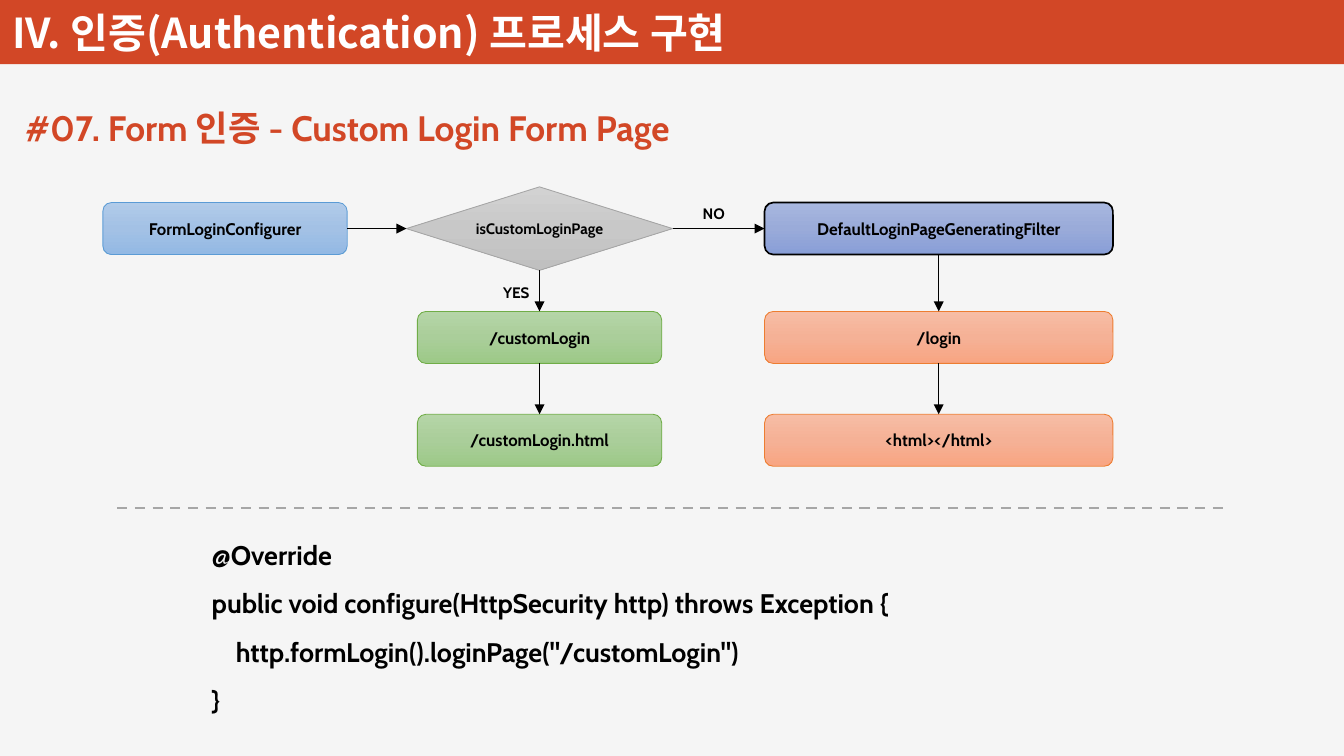
from dataclasses import dataclass
from copy import deepcopy

from pptx import Presentation
from pptx.dml.color import RGBColor
from pptx.enum.dml import MSO_LINE
from pptx.enum.shapes import MSO_CONNECTOR, MSO_SHAPE
from pptx.enum.text import MSO_ANCHOR, MSO_AUTO_SIZE, PP_ALIGN
from pptx.oxml.ns import qn
from pptx.oxml.xmlchemy import OxmlElement
from pptx.util import Inches, Pt

ROUND, DIAMOND = MSO_SHAPE.ROUNDED_RECTANGLE, MSO_SHAPE.FLOWCHART_DECISION
RECT, LINE, DASH = MSO_SHAPE.RECTANGLE, MSO_CONNECTOR.STRAIGHT, MSO_LINE.DASH
TOP, MIDDLE, BOTTOM = MSO_ANCHOR.TOP, MSO_ANCHOR.MIDDLE, MSO_ANCHOR.BOTTOM
LEFT, CENTER = PP_ALIGN.LEFT, PP_ALIGN.CENTER
FIXED = MSO_AUTO_SIZE.NONE
UP, WEST, DOWN, EAST = range(4)


@dataclass(frozen=True)
class Theme:
    latin: str = "Cabin"
    hangul: str = "Noto Sans CJK KR"
    page: str = "F5F5F5"
    accent: str = "D24726"
    white: str = "FFFFFF"
    ink: str = "000000"
    rule: str = "A6A6A6"
    # Each box style: three gradient colours, outline colour, outline width
    blue: tuple = ("B1CBE9", "A3C1E5", "93B9E4", "5B9BD5", 0.5)
    navy: tuple = ("A8B7DF", "9AABD9", "889ED7", "000000", 1)
    gray: tuple = ("D2D2D2", "C8C8C8", "C0C0C0", "A5A5A5", 0.5)
    green: tuple = ("B5D5A7", "AACE9A", "9CC987", "70AD47", 0.5)
    orange: tuple = ("F7BDA5", "F5B196", "F8A582", "ED7D31", 0.5)
    banner: float = 24.5
    head: float = 21
    code: float = 16
    box: float = 10
    small: float = 9


class Deck:
    def __init__(self, theme, slide):
        self.theme, self.slide = theme, slide
        self.shapes = slide.shapes
        fill = slide.background.fill
        fill.solid()
        fill.fore_color.rgb = RGBColor.from_string(theme.page)

    def place(self, shape, left, top, width, height):
        shape.left, shape.top = Inches(left), Inches(top)
        shape.width, shape.height = Inches(width), Inches(height)

    def style(self, frame, size, color, font=None, align=LEFT):
        for par in frame.paragraphs:
            par.alignment = align
            for run in par.runs:
                run.font.name = font or self.theme.latin
                run.font.size = Pt(size)
                run.font.bold = True
                run.font.color.rgb = RGBColor.from_string(color)
                east = OxmlElement("a:ea")
                east.set("typeface", self.theme.hangul)
                run.font._element.append(east)

    def band(self, height):
        band = self.shapes.add_shape(RECT, 0, 0, Inches(11.11), Inches(height))
        band.shadow.inherit = False
        band.fill.solid()
        band.fill.fore_color.rgb = RGBColor.from_string(self.theme.accent)
        band.line.fill.background()
        # Send the band behind the title
        self.shapes._spTree.insert(2, band._element)

    def title(self, text, *area):
        shape = self.shapes.title
        self.place(shape, *area)
        frame = shape.text_frame
        frame.text = text
        frame.word_wrap, frame.auto_size = False, FIXED
        frame.vertical_anchor = BOTTOM
        frame.margin_left = frame.margin_right = Inches(0.09)
        frame.margin_top = frame.margin_bottom = Inches(0.04)
        self.style(frame, self.theme.banner, self.theme.white, self.theme.hangul)

    def code(self, lines, *area):
        shape = self.slide.placeholders[1]
        self.place(shape, *area)
        frame = shape.text_frame
        frame.text = "\n".join(text for text, _ in lines)
        frame.word_wrap, frame.auto_size = True, FIXED
        frame.vertical_anchor = TOP
        for par, (_, indent) in zip(frame.paragraphs, lines):
            par.line_spacing = 1.5
            par.space_before = Pt(0)
            props = par._p.get_or_add_pPr()
            props.set("marL", str(Inches(indent)))
            props.set("indent", "0")
            props.append(OxmlElement("a:buNone"))
        self.style(frame, self.theme.code, self.theme.ink)

    def label(self, text, size, color, *area):
        shape = self.shapes.add_textbox(*map(Inches, area))
        frame = shape.text_frame
        frame.text = text
        frame.word_wrap = False
        self.style(frame, size, color)

    def node(self, text, look, x, y, width, height=0.43, kind=ROUND, size=None):
        """Draw a flow box centred on x, y."""
        area = (x - width / 2, y - height / 2, width, height)
        shape = self.shapes.add_shape(kind, *map(Inches, area))
        shape.shadow.inherit = False
        *tones, edge, weight = look
        shape.fill.gradient()
        shape.fill.gradient_angle = 270
        stops = shape._element.spPr.find(qn("a:gradFill")).find(qn("a:gsLst"))
        mid = deepcopy(stops[0])
        mid.set("pos", "50000")
        stops.insert(1, mid)
        for stop, tone in zip(shape.fill.gradient_stops, tones):
            stop.color.rgb = RGBColor.from_string(tone)
        shape.line.color.rgb = RGBColor.from_string(edge)
        shape.line.width = Pt(weight)
        frame = shape.text_frame
        frame.text = text
        frame.word_wrap = False
        frame.vertical_anchor = MIDDLE
        self.style(frame, size or self.theme.box, self.theme.ink, align=CENTER)
        return shape

    def line(self, color, weight, start=(0, 0), end=(0, 0)):
        line = self.shapes.add_connector(LINE, *map(Inches, start + end))
        line.line.color.rgb = RGBColor.from_string(color)
        line.line.width = Pt(weight)
        line._element.spPr.append(OxmlElement("a:effectLst"))
        return line

    def arrow(self, first, side, last, port):
        line = self.line(self.theme.ink, 0.5)
        line.begin_connect(first, side)
        line.end_connect(last, port)
        tip = OxmlElement("a:tailEnd")
        tip.set("type", "triangle")
        line.line._get_or_add_ln().append(tip)


def main():
    prs = Presentation()
    prs.slide_width, prs.slide_height = Inches(11.11), Inches(6.25)
    theme = Theme()
    deck = Deck(theme, prs.slides.add_slide(prs.slide_layouts[1]))

    # Banner and heading
    deck.band(0.53)
    deck.title("IV. 인증(Authentication) 프로세스 구현", 0.01, -0.1, 6.72, 0.61)
    deck.label("#07. Form 인증 - Custom Login Form Page", theme.head, theme.accent,
               0.11, 0.83, 6.02, 0.45)

    # Flow boxes: three columns, three rows
    cols, rows = (1.86, 4.46, 7.76), (1.89, 2.79, 3.64)
    slim, wide = 2.02, 2.88
    start = deck.node("FormLoginConfigurer", theme.blue, cols[0], rows[0], slim)
    check = deck.node("isCustomLoginPage", theme.gray, cols[1], rows[0], 2.2, 0.69,
                      DIAMOND, theme.small)
    default = deck.node("DefaultLoginPageGeneratingFilter", theme.navy,
                        cols[2], rows[0], wide)
    deck.arrow(start, EAST, check, WEST)
    deck.arrow(check, EAST, default, WEST)

    # Branches running down from the first row
    branches = (
        (check, cols[1], slim, theme.green, ("/customLogin", "/customLogin.html")),
        (default, cols[2], wide, theme.orange, ("/login", "<html></html>")),
    )
    for above, x, width, look, names in branches:
        for name, y in zip(names, rows[1:]):
            below = deck.node(name, look, x, y, width)
            deck.arrow(above, DOWN, below, UP)
            above = below
    deck.label("NO", theme.small, theme.ink, 5.71, 1.64, 0.4, 0.25)
    deck.label("YES", theme.small, theme.ink, 4.06, 2.29, 0.42, 0.25)

    # Divider and code
    rule = deck.line(theme.rule, 1.5, (0.97, 4.2), (10.14, 4.2))
    rule.line.dash_style = DASH
    deck.code((
        ("@Override", 0),
        ("public void configure(HttpSecurity http) throws Exception {", 0),
        ('http.formLogin().loginPage("/customLogin")', 0.2),
        ("}", 0),
    ), 1.65, 4.27, 7, 1.67)

    prs.save("out.pptx")


if __name__ == "__main__":
    main()
